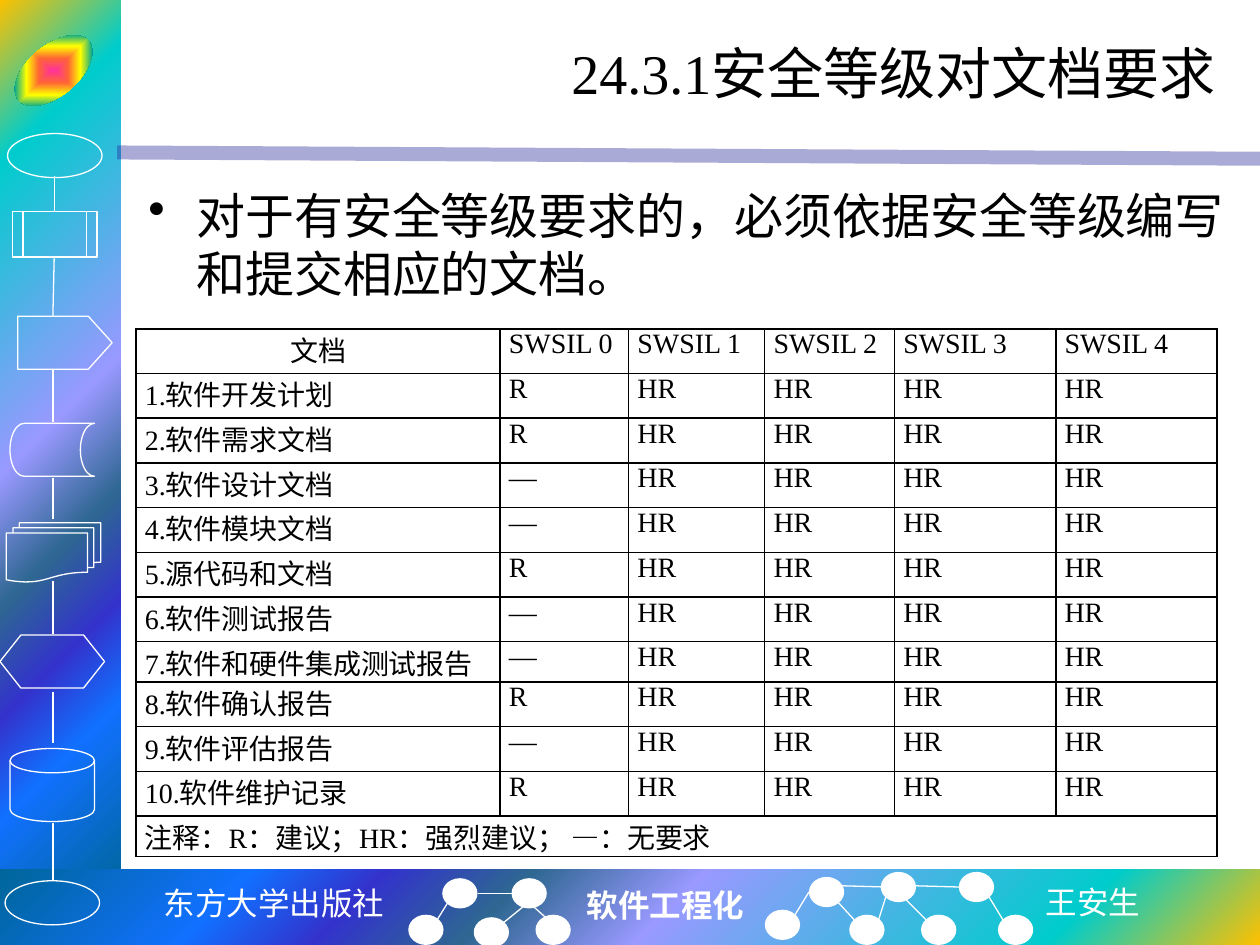
import pptx
import pptx.util
import pptx.dml.color
import pptx.enum.shapes
import pptx.enum.text
import pptx.oxml
import pptx.oxml.ns

Inches, Pt = pptx.util.Inches, pptx.util.Pt
KIND = pptx.enum.shapes.MSO_SHAPE
ALIGN = pptx.enum.text.PP_ALIGN
ANCHOR = pptx.enum.text.MSO_ANCHOR
NS = pptx.oxml.ns.nsdecls("a")
SERIF, SANS, MONO = "Times New Roman", "Noto Sans CJK SC", "Noto Sans Mono"
WHITE, BLACK = "FFFFFF", "000000"

SEA = [(0, "FFC000"), (16, "00CCCC"), (47, "9999FF"), (60, "2E6792"),
       (71, "3333CC"), (81, "1170FF"), (100, "006699")]
RAINBOW = [(0, "FF3399"), (25, "FF6633"), (50, "FFFF00"),
           (75, "01A78F"), (100, "3366FF")]

SYMBOLS = [
    (KIND.OVAL, 0.06, 1.06, 0.75, 0.35),
    (KIND.FLOWCHART_PREDEFINED_PROCESS, 0.1, 1.68, 0.67, 0.36),
    (KIND.PENTAGON, 0.14, 2.51, 0.75, 0.42),
    (KIND.FLOWCHART_STORED_DATA, 0.08, 3.36, 0.67, 0.42),
    (KIND.FLOWCHART_MULTIDOCUMENT, 0.05, 4.15, 0.75, 0.47),
    (KIND.FLOWCHART_PREPARATION, 0, 5.04, 0.83, 0.42),
    (KIND.FLOWCHART_MAGNETIC_DISK, 0.08, 5.94, 0.67, 0.58),
    (KIND.OVAL, 0.04, 6.99, 0.75, 0.35),
]
FLOW = [
    (0.43, 1.4, 0.43, 1.68), (0.43, 2.05, 0.42, 2.51),
    (0.42, 2.93, 0.42, 3.35), (0.42, 3.79, 0.42, 4.12),
    (0.42, 4.61, 0.42, 5.03), (0.42, 5.49, 0.42, 5.9),
    (0.42, 6.53, 0.42, 6.99),
]
NODES = [(3.51, 6.97), (4.06, 6.97), (3.24, 7.26), (3.76, 7.28), (4.25, 7.26),
         (6.42, 6.96), (6.99, 6.92), (7.61, 6.92), (6.07, 7.22), (6.74, 7.26),
         (7.31, 7.26), (7.92, 7.26)]
EDGES = [
    (3.47, 7.3, 3.55, 7.17), (4, 7.32, 4.16, 7.19), (4.06, 7.09, 3.79, 7.09),
    (4.34, 7.29, 4.24, 7.2), (6.31, 7.26, 6.42, 7.08), (6.78, 7.3, 6.65, 7.16),
    (6.68, 7.03, 7.03, 7.04), (6.97, 7.31, 7.03, 7.12), (7.35, 7.3, 7.15, 7.1),
    (7.26, 7.03, 7.61, 7.04), (7.96, 7.3, 7.85, 7.12),
]

DOCS = [("软件开发计划", "R"), ("软件需求文档", "R"), ("软件设计文档", "—"),
        ("软件模块文档", "—"), ("源代码和文档", "R"), ("软件测试报告", "—"),
        ("软件和硬件集成测试报告", "—"), ("软件确认报告", "R"),
        ("软件评估报告", "—"), ("软件维护记录", "R")]
NOTE = "注释：R：建议；HR：强烈建议； —：无要求"
COLS = [2.89, 1.02, 1.08, 1.03, 1.28, 1.28]
LOW = 0.32
TALL = (4.19 - 2 * LOW) / 10
ROWS = [TALL] * 7 + [LOW] + [TALL] * 3 + [LOW]


def color(text):
    return pptx.dml.color.RGBColor.from_string(text)


def shape(slide, kind, x, y, w, h, fill=None, line=None):
    item = slide.shapes.add_shape(kind, Inches(x), Inches(y), Inches(w), Inches(h))
    item.shadow.inherit = False
    if fill:
        item.fill.solid()
        item.fill.fore_color.rgb = color(fill)
    else:
        item.fill.background()
    if line:
        item.line.color.rgb = color(line)
        item.line.width = Pt(0.75)
    else:
        item.line.fill.background()
    return item


def blend(item, stops, path, focus):
    """Fill an unfilled shape with a gradient that spreads from focus."""
    marks = "".join(f'<a:gs pos="{at * 1000}"><a:srgbClr val="{tone}"/></a:gs>'
                    for at, tone in stops)
    sides = " ".join(f'{side}="{part * 1000}"' for side, part in zip("ltrb", focus))
    grad = pptx.oxml.parse_xml(
        f'<a:gradFill {NS} rotWithShape="1"><a:gsLst>{marks}</a:gsLst>'
        f'<a:path path="{path}"><a:fillToRect {sides}/></a:path></a:gradFill>')
    props = item._element.spPr
    props.replace(props.find(pptx.oxml.ns.qn("a:noFill")), grad)


def link(slide, x1, y1, x2, y2, tone=WHITE, width=0.75, alpha=None):
    item = slide.shapes.add_connector(
        pptx.enum.shapes.MSO_CONNECTOR.STRAIGHT,
        Inches(x1), Inches(y1), Inches(x2), Inches(y2))
    item.line.color.rgb = color(tone)
    item.line.width = Pt(width)
    props = item._element.spPr
    props.append(pptx.oxml.parse_xml(f"<a:effectLst {NS}/>"))
    if alpha:
        fill = props.find(".//" + pptx.oxml.ns.qn("a:srgbClr"))
        fill.append(pptx.oxml.parse_xml(f'<a:alpha {NS} val="{alpha * 1000}"/>'))


def style(para, size, font=SERIF, tone=BLACK, bold=False, align=ALIGN.LEFT):
    para.alignment = align
    for run in para.runs:
        run.font.size, run.font.name, run.font.bold = Pt(size), font, bold
        run.font.color.rgb = color(tone)
        run._r.rPr.append(pptx.oxml.parse_xml(f'<a:ea {NS} typeface="{SANS}"/>'))


def label(slide, x, y, w, h, text, size, wrap=True, **look):
    box = slide.shapes.add_textbox(Inches(x), Inches(y), Inches(w), Inches(h))
    frame = box.text_frame
    frame.word_wrap = wrap
    frame.text = text
    style(frame.paragraphs[0], size, **look)
    return frame


def bullet(para, indent):
    props = para._p.get_or_add_pPr()
    props.set("marL", str(Inches(indent)))
    props.set("indent", str(-Inches(indent)))
    props.append(pptx.oxml.parse_xml(f'<a:buChar {NS} char="•"/>'))


def border(cell):
    props = cell._tc.get_or_add_tcPr()
    for spot, side in enumerate("LRTB"):
        props.insert(spot, pptx.oxml.parse_xml(
            f'<a:ln{side} {NS} w="{Pt(1)}"><a:solidFill><a:srgbClr val="{BLACK}"/>'
            f'</a:solidFill></a:ln{side}>'))


def grid(slide):
    levels = [f"SWSIL {n}" for n in range(5)]
    data = [["文档"] + levels]
    data += [[f"{n}.{name}", low] + ["HR"] * 4
             for n, (name, low) in enumerate(DOCS, 1)]
    data.append([NOTE] + [""] * 5)
    table = slide.shapes.add_table(
        len(ROWS), len(COLS), Inches(1.08), Inches(2.61),
        Inches(sum(COLS)), Inches(sum(ROWS))).table
    table.first_row = table.horz_banding = False
    for col, width in zip(table.columns, COLS):
        col.width = Inches(width)
    for row, height, texts in zip(table.rows, ROWS, data):
        row.height = Inches(height)
        for cell, text in zip(row.cells, texts):
            cell.margin_left = cell.margin_right = Inches(0.07)
            cell.margin_top = cell.margin_bottom = 0
            cell.fill.background()
            border(cell)
            cell.text_frame.text = text
            para = cell.text_frame.paragraphs[0]
            style(para, 16, align=ALIGN.CENTER if text == "文档" else ALIGN.JUSTIFY)
            if text in levels:
                para.space_before = Pt(8)
    table.cell(len(ROWS) - 1, 0).merge(table.cell(len(ROWS) - 1, len(COLS) - 1))


def frame(slide):
    """Draw the side bar, the footer and their ornaments."""
    side = shape(slide, KIND.RECTANGLE, 0, 0, 0.96, 7.09)
    blend(side, SEA, "circle", (0, 0, 100, 100))
    foot = shape(slide, KIND.RECTANGLE, 0, 6.9, 10, 0.6)
    blend(foot, SEA, "circle", (100, 100, 0, 0))
    link(slide, 0.93, 1.21, 10, 1.26, "262699", 8, 39)
    badge = shape(slide, KIND.OVAL, 0.06, 0.36, 0.73, 0.4)
    badge.rotation = -40
    blend(badge, RAINBOW, "shape", (50, 50, 50, 50))
    for kind, *place in SYMBOLS:
        item = shape(slide, kind, *place, line=WHITE)
        if kind == KIND.PENTAGON:
            item.adjustments[0] = 0.45
    for x, y in NODES:
        shape(slide, KIND.OVAL, x, y, 0.28, 0.24, fill=WHITE)
    for ends in FLOW + EDGES:
        link(slide, *ends)
    label(slide, 1.19, 6.97, 1.97, 0.4, "东方大学出版社", 18, False,
          font=MONO, tone=WHITE, align=ALIGN.CENTER)
    label(slide, 4.56, 6.98, 1.46, 0.4, "软件工程化", 18, False, tone=WHITE, bold=True)
    label(slide, 8.2, 6.96, 0.96, 0.4, "王安生", 18, False, font=SANS, tone=WHITE)


def main():
    deck = pptx.Presentation()
    deck.slide_width, deck.slide_height = Inches(10), Inches(7.5)
    slide = deck.slides.add_slide(deck.slide_layouts[6])
    frame(slide)
    title = label(slide, 1.25, 0.17, 8.5, 0.81, "24.3.1安全等级对文档要求", 32,
                  align=ALIGN.RIGHT)
    title.vertical_anchor = ANCHOR.MIDDLE
    body = label(slide, 1.08, 1.42, 8.75, 1.19,
                 "对于有安全等级要求的，必须依据安全等级编写和提交相应的文档。", 28)
    body.margin_right = Inches(0.05)
    para = body.paragraphs[0]
    para.space_before = Pt(5.6)
    bullet(para, 0.38)
    grid(slide)
    deck.save("out.pptx")


if __name__ == "__main__":
    main()
